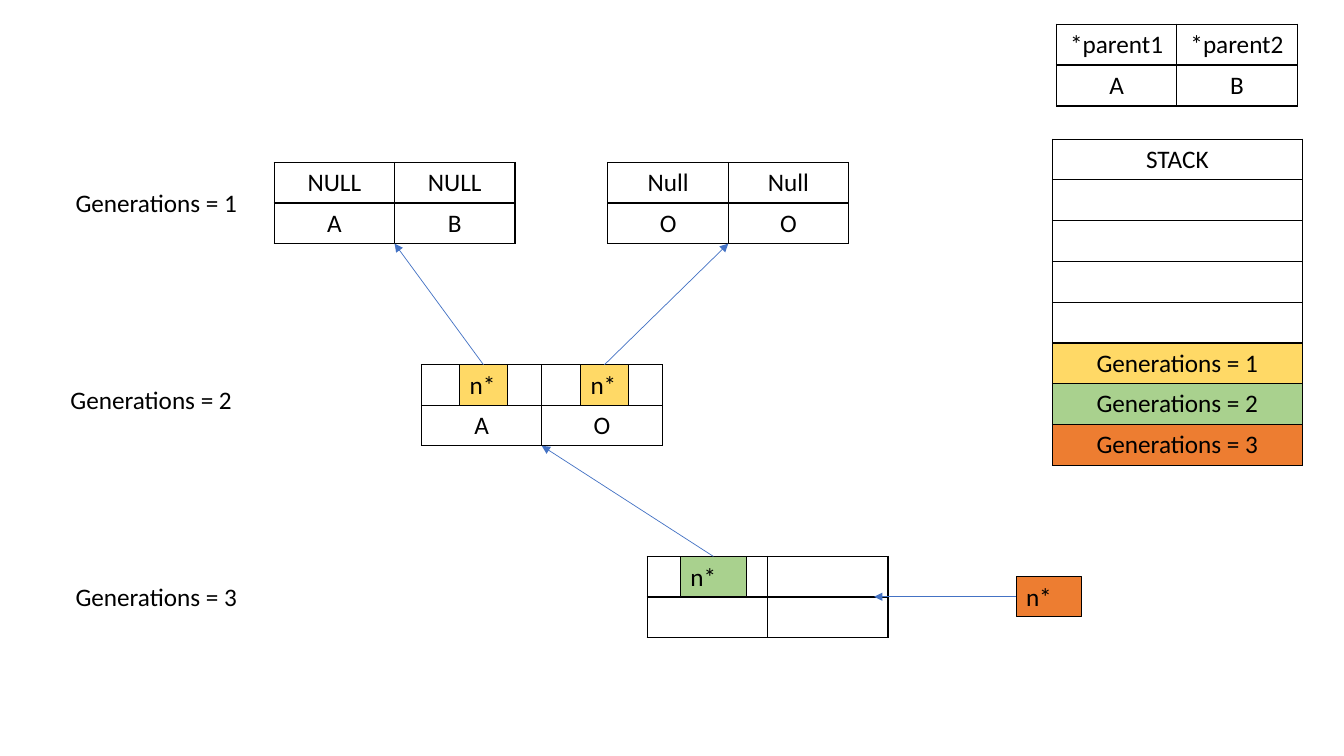
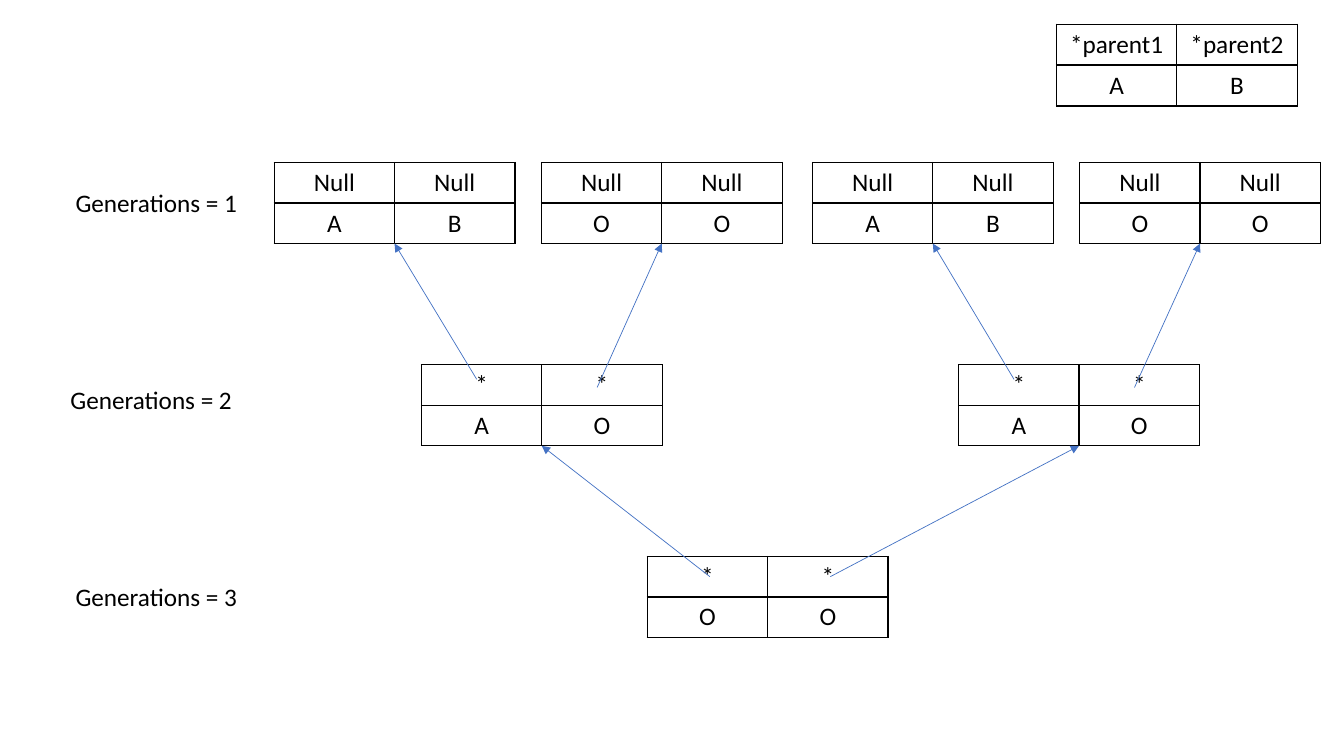
from dataclasses import dataclass

from lxml import etree
from pptx import Presentation
from pptx import util as u
from pptx.dml.color import RGBColor
from pptx.enum import shapes, text
from pptx.oxml import ns

BLACK, BLUE = "000000", "4472C4"
YELLOW, GREEN, ORANGE = "FFD966", "A9D18E", "ED7D31"
CELL_WIDTH, CELL_HEIGHT = 8.96, 5.36
TOPS = {1: 21.5, 2: 48.25, 3: 73.6}
LABELS = {1: (4.88, 24.15), 2: (4.5, 50.15), 3: (4.88, 76.25)}


def color(value):
    return RGBColor.from_string(value)


@dataclass
class Area:
    left: float
    top: float
    width: float
    height: float

    def at(self, across, down):
        return self.left + self.width * across, self.top + self.height * down


class Diagram:
    font, size = "Calibri", 18

    def __init__(self):
        self.deck = Presentation()
        self.deck.slide_width = u.Inches(13.33)
        self.deck.slide_height = u.Inches(7.5)
        self.page = None

    def x(self, percent):
        return round(self.deck.slide_width * percent / 100)

    def y(self, percent):
        return round(self.deck.slide_height * percent / 100)

    def frame(self, area):
        return self.x(area.left), self.y(area.top), self.x(area.width), self.y(area.height)

    def new_page(self):
        self.page = self.deck.slides.add_slide(self.deck.slide_layouts[6])
        self.pair(78.6, 3.2, ["*parent1", "*parent2"], "AB")
        for generation, (left, top) in LABELS.items():
            area = Area(left, top, 14.93, CELL_HEIGHT)
            box = self.page.shapes.add_textbox(*self.frame(area))
            self.fill_text(box.text_frame, f"Generations = {generation}")

    def fill_text(self, frame, words):
        frame.word_wrap = True
        frame.vertical_anchor = text.MSO_ANCHOR.TOP
        frame.text = words
        self.style(frame.paragraphs[0], text.PP_ALIGN.LEFT)

    def style(self, para, align):
        para.alignment = align
        para.font.name = self.font
        para.font.size = u.Pt(self.size)
        para.font.color.rgb = color(BLACK)

    def borders(self, cell):
        properties = cell._tc.get_or_add_tcPr()
        for index, side in enumerate(("lnL", "lnR", "lnT", "lnB")):
            line = etree.Element(ns.qn(f"a:{side}"), w=str(u.Pt(1)))
            fill = etree.SubElement(line, ns.qn("a:solidFill"))
            etree.SubElement(fill, ns.qn("a:srgbClr"), val=BLACK)
            properties.insert(index, line)

    def table(self, area, rows, fills=None):
        fills = fills or {}
        grid = self.page.shapes.add_table(len(rows), len(rows[0]), *self.frame(area)).table
        grid.first_row = grid.horz_banding = False
        for row_index, row in enumerate(rows):
            for column_index, words in enumerate(row):
                cell = grid.cell(row_index, column_index)
                cell.text = words
                self.style(cell.text_frame.paragraphs[0], text.PP_ALIGN.CENTER)
                if row_index in fills:
                    cell.fill.solid()
                    cell.fill.fore_color.rgb = color(fills[row_index])
                else:
                    cell.fill.background()
                self.borders(cell)
        return area

    def pair(self, left, top, pointers, values):
        area = Area(left, top, 2 * CELL_WIDTH, 2 * CELL_HEIGHT)
        return self.table(area, [pointers, values])

    def person(self, generation, left, pointers, values):
        return self.pair(left, TOPS[generation], pointers, values)

    def pointer(self, left, top, width, fill):
        area = Area(left, top, width, CELL_HEIGHT)
        box = self.page.shapes.add_shape(shapes.MSO_SHAPE.RECTANGLE, *self.frame(area))
        box.shadow.inherit = False
        box.fill.solid()
        box.fill.fore_color.rgb = color(fill)
        box.line.color.rgb = color(BLACK)
        box.line.width = u.Pt(0.75)
        self.fill_text(box.text_frame, "n*")
        return area

    def arrow(self, start, end):
        line = self.page.shapes.add_connector(
            shapes.MSO_CONNECTOR.STRAIGHT,
            self.x(start[0]), self.y(start[1]), self.x(end[0]), self.y(end[1]))
        line.line.color.rgb = color(BLUE)
        line.line.width = u.Pt(0.5)
        etree.SubElement(line.line._get_or_add_ln(), ns.qn("a:tailEnd"), type="triangle")
        etree.SubElement(line._element.spPr, ns.qn("a:effectLst"))


def recursion_page(diagram):
    diagram.new_page()
    child = diagram.person(3, 48.16, ["", ""], ["", ""])
    parent = diagram.person(2, 31.35, ["", ""], "AO")
    grandparents = [diagram.person(1, 20.4, ["NULL"] * 2, "AB"),
                    diagram.person(1, 45.23, ["Null"] * 2, "OO")]
    stack = ["STACK"] + [""] * 4 + [f"Generations = {n}" for n in TOPS]
    diagram.table(Area(78.3, 18.4, 18.6, 43.2), [[words] for words in stack],
                  {5: YELLOW, 6: GREEN, 7: ORANGE})
    for left, grandparent in zip((34.2, 43.2), grandparents):
        box = diagram.pointer(left, parent.top, 3.55, YELLOW)
        diagram.arrow(box.at(0.5, 0), grandparent.at(0.5, 1))
    box = diagram.pointer(50.63, child.top, 4.9, GREEN)
    diagram.arrow(box.at(0.5, 0), parent.at(0.5, 1))
    root = diagram.pointer(75.6, 76.25, 4.9, ORANGE)
    diagram.arrow(root.at(0, 0.5), (65.04, root.at(0, 0.5)[1]))


def family_page(diagram):
    diagram.new_page()
    child = diagram.person(3, 48.16, "**", "OO")
    families = [(31.35, (20.4, 40.28)), (71.33, (60.45, 80.33))]
    child_starts = [(0.26, 0.25), (0.76, 0.25)]
    parent_starts = [(0.23, 0.18), (0.73, 0.28)]
    for (left, grandparent_lefts), child_start in zip(families, child_starts):
        parent = diagram.person(2, left, "**", "AO")
        diagram.arrow(child.at(*child_start), parent.at(0.5, 1))
        for grandparent_left, values, start in zip(
                grandparent_lefts, ("AB", "OO"), parent_starts):
            grandparent = diagram.person(1, grandparent_left, ["Null"] * 2, values)
            diagram.arrow(parent.at(*start), grandparent.at(0.5, 1))


diagram = Diagram()
recursion_page(diagram)
family_page(diagram)
diagram.deck.save("out.pptx")
